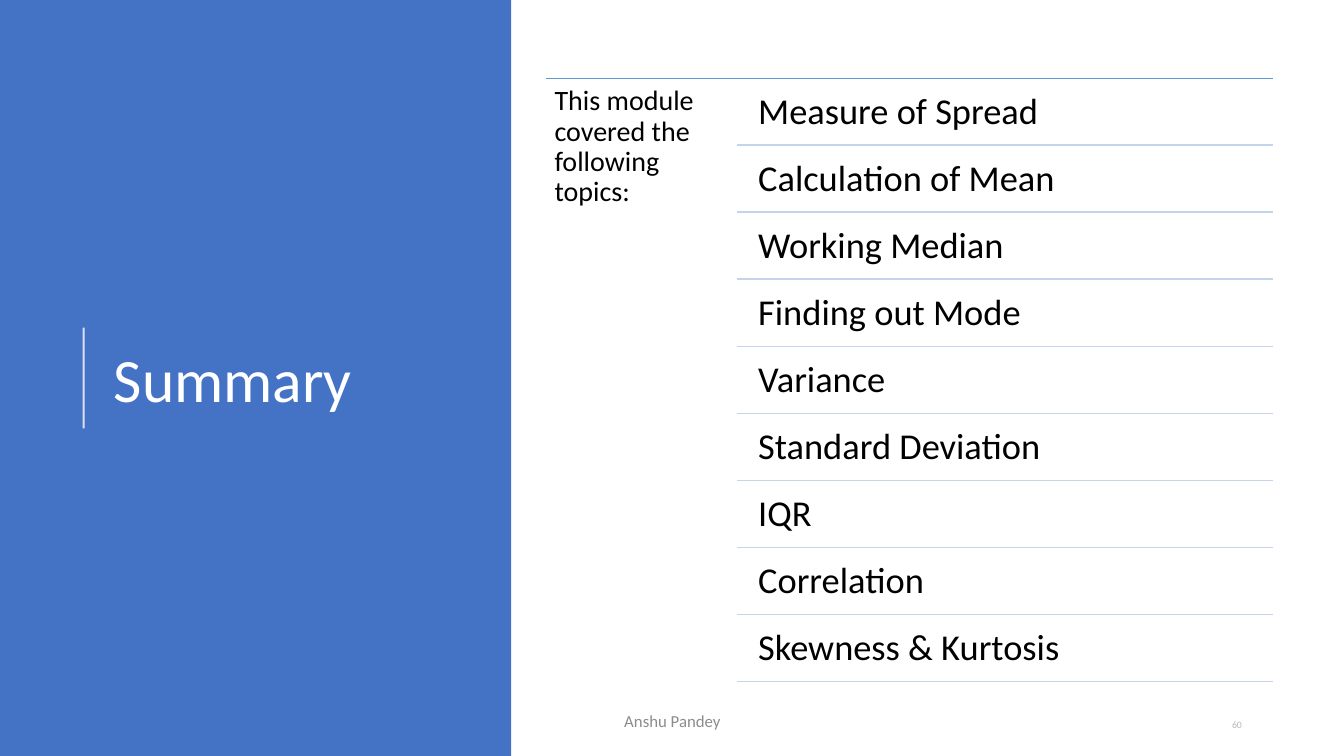
"""Build the module summary slide with its ruled list of topics."""
from typing import NamedTuple

from pptx import Presentation
from pptx.dml.color import RGBColor
from pptx.enum.shapes import MSO_CONNECTOR, MSO_SHAPE
from pptx.enum.text import MSO_ANCHOR, PP_ALIGN
from pptx.oxml.ns import qn
from pptx.util import Inches, Pt
from lxml import etree

STRAIGHT = MSO_CONNECTOR.STRAIGHT
RECTANGLE = MSO_SHAPE.RECTANGLE
TOP, MIDDLE = MSO_ANCHOR.TOP, MSO_ANCHOR.MIDDLE
LEFT, CENTER = PP_ALIGN.LEFT, PP_ALIGN.CENTER

WHITE = RGBColor(0xFF, 0xFF, 0xFF)
BLACK = RGBColor(0x00, 0x00, 0x00)
PANEL_BLUE = RGBColor(0x44, 0x72, 0xC4)
RULE_BLUE = RGBColor(0x5B, 0x9B, 0xD5)
ROW_BLUE = RGBColor(0xC4, 0xD5, 0xEB)
FOOTER_GREY = RGBColor(0x8C, 0x8C, 0x8C)
NUMBER_GREY = RGBColor(0xB9, 0xB8, 0xBB)

FONT = "Calibri"
LIST_TOP, LIST_RIGHT, ROW_LEFT = 0.78, 12.63, 7.31
ROW_HEIGHT, ROW_GAP = 0.63, 0.03
ROW_PITCH = 0.665
TOPICS = (
    "Measure of Spread", "Calculation of Mean", "Working Median",
    "Finding out Mode", "Variance", "Standard Deviation", "IQR",
    "Correlation", "Skewness & Kurtosis",
)


class Box(NamedTuple):
    """Position and size in inches."""

    left: float
    top: float
    width: float
    height: float


class Rule(NamedTuple):
    """A straight line in inches, with its colour, width and opacity."""

    x1: float
    y1: float
    x2: float
    y2: float
    color: RGBColor
    width: float = 1
    opacity: int = 100


def add_text(slide, text: str, box: Box, *, size: float, color: RGBColor,
             anchor=TOP, align=LEFT, spacing: float = 1.0,
             insets: tuple = (0.1, 0.05, 0.1, 0.05)) -> None:
    """Add a wrapped text box with one formatted paragraph."""
    tf = slide.shapes.add_textbox(*map(Inches, box)).text_frame
    tf.word_wrap = True
    tf.vertical_anchor = anchor
    (tf.margin_left, tf.margin_top,
     tf.margin_right, tf.margin_bottom) = map(Inches, insets)
    p = tf.paragraphs[0]
    p.alignment = align
    p.line_spacing = spacing
    r = p.add_run()
    r.text = text
    r.font.name = FONT
    r.font.size = Pt(size)
    r.font.color.rgb = color


def add_rule(slide, rule: Rule) -> None:
    """Draw a straight line without a shadow."""
    line = slide.shapes.add_connector(STRAIGHT, *map(Inches, rule[:4]))
    line.line.color.rgb = rule.color
    line.line.width = Pt(rule.width)
    sp_pr = line._element.spPr
    if rule.opacity < 100:
        color = next(sp_pr.iter(qn("a:srgbClr")))
        alpha = etree.SubElement(color, qn("a:alpha"))
        alpha.set("val", str(rule.opacity * 1000))
    etree.SubElement(sp_pr, qn("a:effectLst"))


def add_panel(slide, box: Box, color: RGBColor) -> None:
    """Draw a plain filled rectangle."""
    sp = slide.shapes.add_shape(RECTANGLE, *map(Inches, box))
    sp.shadow.inherit = False
    sp.fill.solid()
    sp.fill.fore_color.rgb = color
    sp.line.fill.background()


def add_topic(slide, index: int, topic: str) -> None:
    """Add one topic of the list and the rule beneath it."""
    top = LIST_TOP + ROW_GAP + index * ROW_PITCH
    bottom = top + ROW_HEIGHT
    add_text(slide, topic, Box(7.41, top, 5.21, ROW_HEIGHT), size=26,
             color=BLACK, spacing=0.9, insets=(0.11,) * 4)
    add_rule(slide, Rule(ROW_LEFT, bottom, LIST_RIGHT, bottom, ROW_BLUE))


def main() -> None:
    """Build and save the slide."""
    prs = Presentation()
    prs.slide_width, prs.slide_height = Inches(13.33), Inches(7.5)
    s = prs.slides.add_slide(prs.slide_layouts[6])

    add_panel(s, Box(0, 0, 5.07, 7.5), PANEL_BLUE)
    add_text(s, "Summary", Box(1.03, 0.78, 3.69, 6.02), size=44,
             color=WHITE, anchor=MIDDLE, spacing=0.9)
    add_rule(s, Rule(0.83, 4.25, 0.83, 3.25, WHITE, 1.5, 80))

    add_rule(s, Rule(5.42, LIST_TOP, LIST_RIGHT, LIST_TOP, RULE_BLUE))
    add_text(s, "This module covered the following topics:",
             Box(5.42, LIST_TOP, 1.89, 6.02), size=20, color=BLACK,
             spacing=0.9, insets=(0.08,) * 4)
    for index, topic in enumerate(TOPICS):
        add_topic(s, index, topic)

    add_text(s, "Anshu Pandey", Box(4.42, 6.95, 4.5, 0.4), size=12,
             color=FOOTER_GREY, anchor=MIDDLE, align=CENTER)
    add_text(s, "60", Box(12.22, 7.08, 0.47, 0.22), size=7,
             color=NUMBER_GREY, anchor=MIDDLE, insets=(0, 0.05, 0.1, 0.05))
    prs.save("out.pptx")


main()
